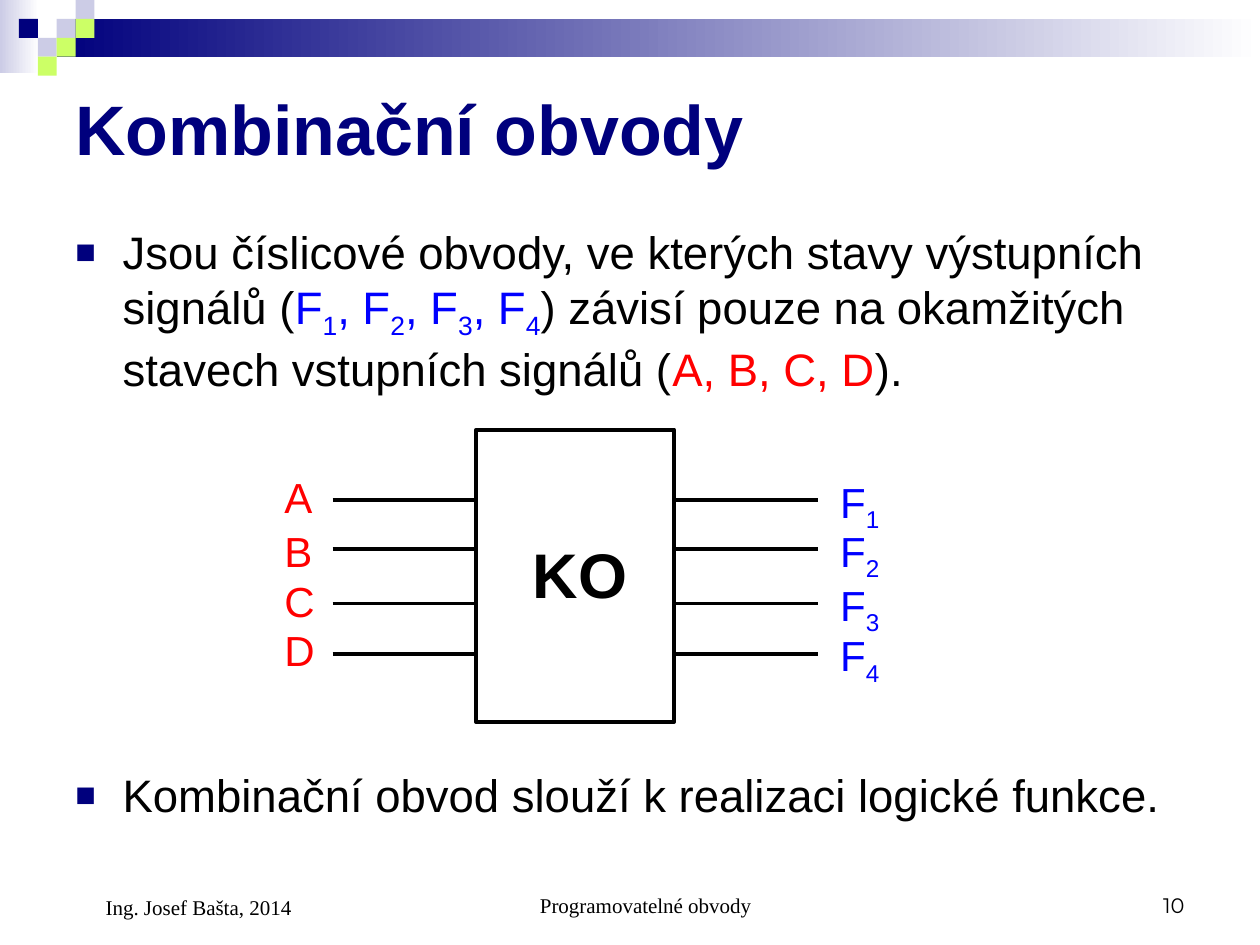
"""Build the slide about combinational circuits."""
from dataclasses import dataclass
from typing import NamedTuple, Optional

import lxml.etree
import pptx
import pptx.dml.color
import pptx.enum.shapes
import pptx.enum.text
import pptx.oxml.ns
import pptx.slide
import pptx.text.text
import pptx.util

RGBColor = pptx.dml.color.RGBColor
ALIGN = pptx.enum.text.PP_ALIGN
ANCHOR = pptx.enum.text.MSO_ANCHOR
RECTANGLE = pptx.enum.shapes.MSO_SHAPE.RECTANGLE

NAVY = RGBColor(0x00, 0x00, 0x7D)
LILAC = RGBColor(0xCC, 0xCC, 0xE6)
LIME = RGBColor(0xCC, 0xFF, 0x66)
WHITE = RGBColor(0xFF, 0xFF, 0xFF)
BLACK = RGBColor(0x00, 0x00, 0x00)
RED = RGBColor(0xFF, 0x00, 0x00)
BLUE = RGBColor(0x00, 0x00, 0xFF)

COLUMNS, ROWS = 100, 75
CELL = pptx.util.Inches(0.1)
TILE = 1.5
LINE_WIDTH = pptx.util.Pt(2.25)


class Area(NamedTuple):
    """A rectangle in grid columns and rows."""
    column: float
    row: float
    width: float
    height: float


class Span(NamedTuple):
    """A stretch of text in one colour."""
    text: str
    color: RGBColor = BLACK
    subscript: bool = False


@dataclass
class TextBlock:
    """A text box holding one paragraph."""
    area: Area
    spans: list[Span]
    size: float
    font: str = "Arial"
    bold: bool = False
    bullet: bool = False
    indent: float = 0
    align: Optional[ALIGN] = None
    anchor: ANCHOR = ANCHOR.TOP


@dataclass
class Tile:
    """A square of the corner pattern, counted in tiles."""
    column: int
    row: int
    color: RGBColor


@dataclass
class Signal:
    """One input and one output on the same wire row."""
    wire_row: float
    name: str
    name_row: float


def cells(count: float) -> int:
    """Turn grid cells into a length."""
    return round(count * CELL)


def add_rectangle(page: pptx.slide.Slide, area: Area):
    """Draw a rectangle without line or shadow."""
    shape = page.shapes.add_shape(RECTANGLE, *map(cells, area))
    shape.shadow.inherit = False
    shape.line.fill.background()
    return shape


def add_fade(page: pptx.slide.Slide, area: Area, color: RGBColor) -> None:
    """Draw a rectangle fading to white on the right."""
    fill = add_rectangle(page, area).fill
    fill.gradient()
    fill.gradient_angle = 0
    for stop, shade in zip(fill.gradient_stops, (color, WHITE)):
        stop.color.rgb = shade


def add_tile(page: pptx.slide.Slide, tile: Tile) -> None:
    """Draw one square of the corner pattern."""
    shape = add_rectangle(page, Area(tile.column * TILE, tile.row * TILE, TILE, TILE))
    shape.fill.solid()
    shape.fill.fore_color.rgb = tile.color


def add_wire(page: pptx.slide.Slide, start: float, end: float, row: float) -> None:
    """Draw a horizontal wire."""
    wire = page.shapes.add_connector(
        pptx.enum.shapes.MSO_CONNECTOR.STRAIGHT,
        cells(start), cells(row), cells(end), cells(row))
    wire.line.color.rgb = BLACK
    wire.line.width = LINE_WIDTH
    lxml.etree.SubElement(wire._element.spPr, pptx.oxml.ns.qn("a:effectLst"))


def add_bullet(para: pptx.text.text._Paragraph) -> None:
    """Give a paragraph a navy square bullet."""
    qn = pptx.oxml.ns.qn
    properties = para._p.get_or_add_pPr()
    properties.set("marL", str(cells(3.75)))
    properties.set("indent", str(-cells(3.75)))
    color = lxml.etree.SubElement(properties, qn("a:buClr"))
    lxml.etree.SubElement(color, qn("a:srgbClr"), val=str(NAVY))
    lxml.etree.SubElement(properties, qn("a:buSzPct"), val="75000")
    lxml.etree.SubElement(properties, qn("a:buFont"), typeface="Arial")
    lxml.etree.SubElement(properties, qn("a:buChar"), char="■")


def add_text(page: pptx.slide.Slide, block: TextBlock) -> None:
    """Draw a text block."""
    frame = page.shapes.add_textbox(*map(cells, block.area)).text_frame
    frame.word_wrap = True
    frame.vertical_anchor = block.anchor
    para = frame.paragraphs[0]
    para.alignment = block.align
    if block.bullet:
        add_bullet(para)
    elif block.indent:
        para._p.get_or_add_pPr().set("marL", str(cells(block.indent)))
    for span in block.spans:
        run = para.add_run()
        run.text = span.text
        run.font.name = block.font
        run.font.size = pptx.util.Pt(block.size)
        run.font.bold = block.bold
        run.font.color.rgb = span.color
        if span.subscript:
            run._r.get_or_add_rPr().set("baseline", "-25000")


def output_spans(number: int, prefix: str = "") -> list[Span]:
    """Name an output signal with its subscript."""
    return [Span(f"{prefix}F", BLUE), Span(str(number), BLUE, True)]


TILES = [
    Tile(3, 1, LILAC), Tile(4, 0, LILAC), Tile(4, 1, LIME), Tile(2, 2, LILAC),
    Tile(1, 1, NAVY), Tile(3, 2, LIME), Tile(2, 3, LIME),
]
SIGNALS = [
    Signal(39.7, "A", 36.9), Signal(43.6, "B", 41.2),
    Signal(47.9, "C", 45.2), Signal(51.9, "D", 49.1),
]
CIRCUIT = Area(37.8, 34.1, 15.7, 23.2)
WIRE_LENGTH = 11.4
DEFINITION = [
    Span("Jsou číslicové obvody, ve kterých stavy výstupních signálů ("),
    *(span for number in range(1, 5)
      for span in output_spans(number, ", " if number > 1 else "")),
    Span(") závisí pouze na okamžitých stavech vstupních signálů ("),
    Span("A, B, C, D", RED), Span(")."),
]
TEXTS = [
    TextBlock(Area(5, 5, 90, 10.3), [Span("Kombinační obvody", NAVY)], 40,
              bold=True, anchor=ANCHOR.MIDDLE),
    TextBlock(Area(5, 17.3, 90, 14.6), DEFINITION, 26, bullet=True),
    TextBlock(Area(41.3, 42, 10.2, 7), [Span("KO")], 36, bold=True),
    TextBlock(Area(5, 60.4, 90, 5.4),
              [Span("Kombinační obvod slouží k realizaci logické funkce.")], 26, bullet=True),
    TextBlock(Area(34.2, 68.3, 31.7, 5), [Span("Programovatelné obvody")], 12,
              "Times New Roman", indent=2.4, align=ALIGN.CENTER, anchor=ANCHOR.BOTTOM),
    TextBlock(Area(71.7, 68.3, 23.3, 5), [Span("10")], 12, "Montserrat",
              align=ALIGN.RIGHT, anchor=ANCHOR.BOTTOM),
    TextBlock(Area(5, 68.3, 23.3, 5.2), [Span("Ing. Josef Bašta, 2014")], 12,
              "Times New Roman", indent=2.4, anchor=ANCHOR.BOTTOM),
]


def add_circuit(page: pptx.slide.Slide) -> None:
    """Draw the circuit block with its signals."""
    block = add_rectangle(page, CIRCUIT)
    block.fill.background()
    block.line.color.rgb = BLACK
    block.line.width = LINE_WIDTH
    right = CIRCUIT.column + CIRCUIT.width
    for number, signal in enumerate(SIGNALS, 1):
        add_wire(page, CIRCUIT.column - WIRE_LENGTH, CIRCUIT.column, signal.wire_row)
        add_wire(page, right, right + WIRE_LENGTH, signal.wire_row)
        add_text(page, TextBlock(Area(21.6, signal.name_row, 4.3, 5),
                                 [Span(signal.name, RED)], 24))
        add_text(page, TextBlock(Area(65.7, signal.wire_row - 2.4, 5.9, 5.6),
                                 output_spans(number), 24))


def main() -> None:
    """Build and save the deck."""
    deck = pptx.Presentation()
    deck.slide_width, deck.slide_height = cells(COLUMNS), cells(ROWS)
    page = deck.slides.add_slide(deck.slide_layouts[6])
    add_fade(page, Area(0, 0, 3.1, 5.8), LILAC)
    add_fade(page, Area(4.5, TILE, COLUMNS - 4.5, 2 * TILE), NAVY)
    for tile in TILES:
        add_tile(page, tile)
    add_circuit(page)
    for block in TEXTS:
        add_text(page, block)
    deck.save("out.pptx")


if __name__ == "__main__":
    main()
